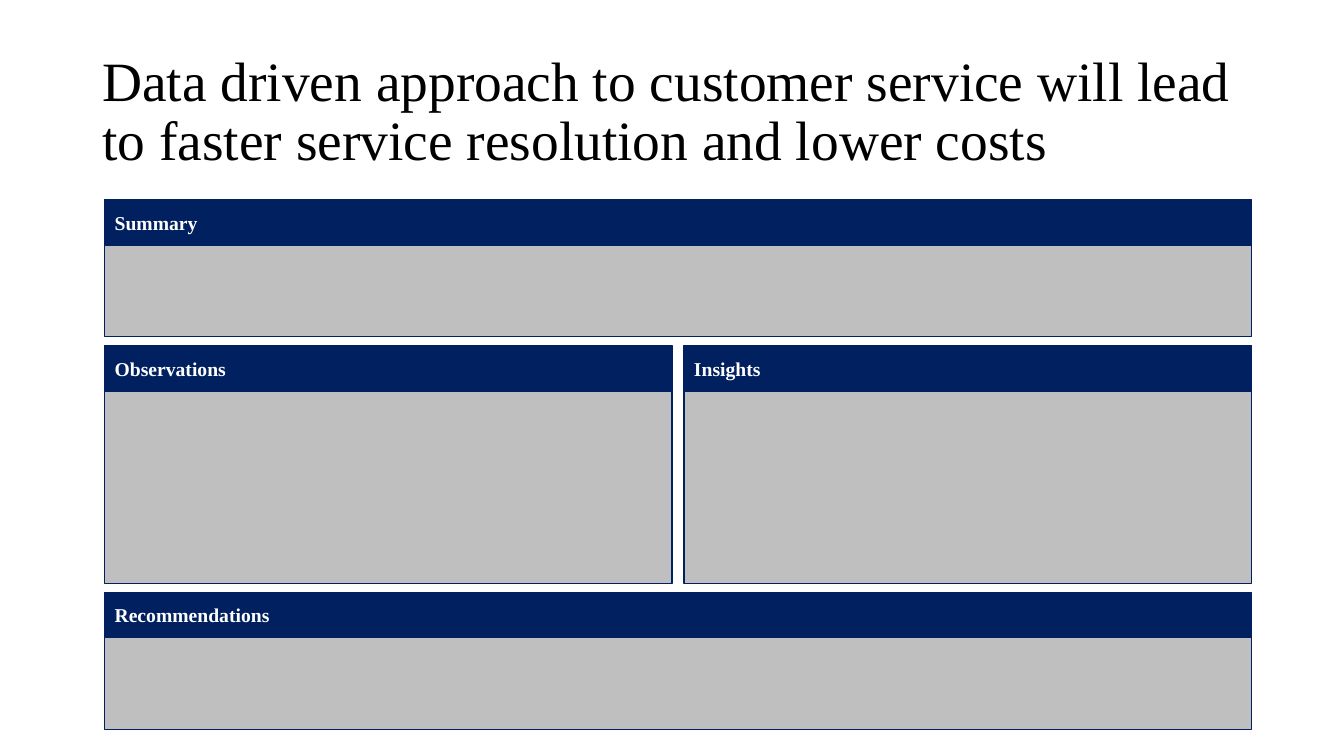
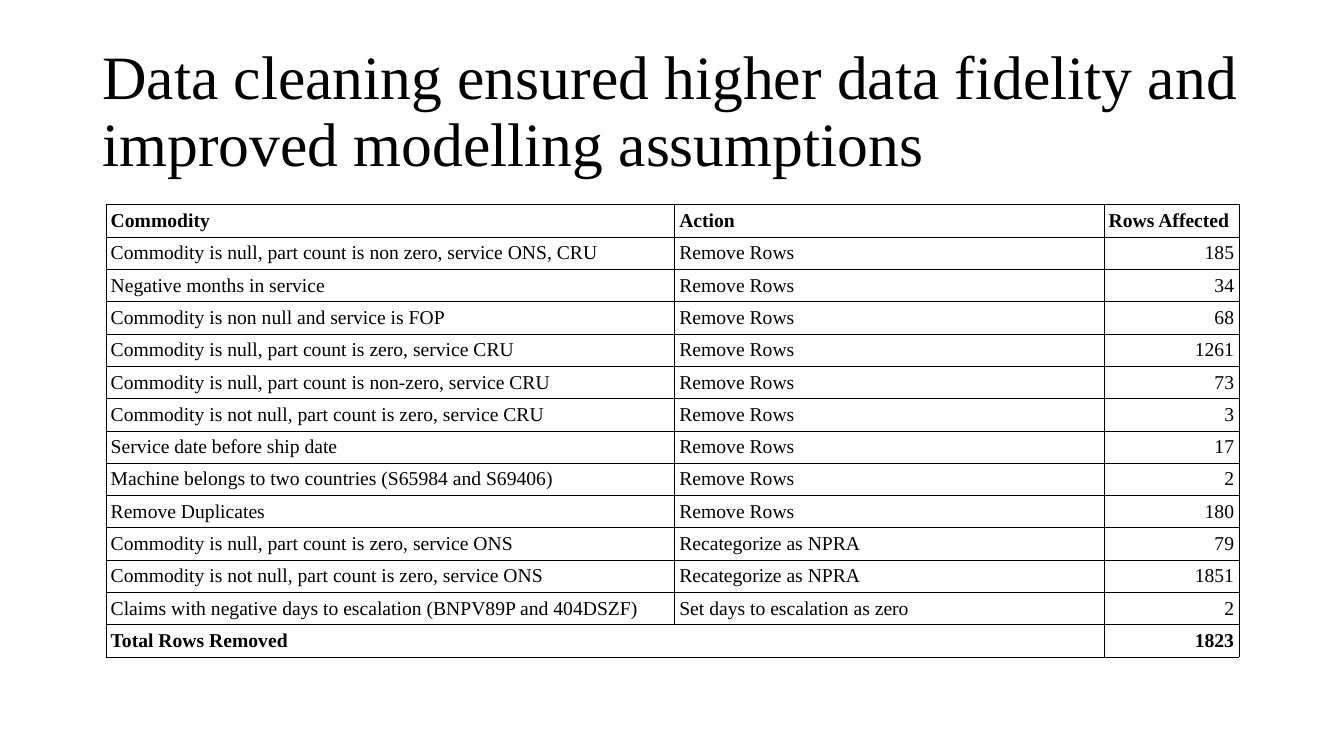
"""Build a summary panel slide and a data cleaning table slide."""
import pptx
import pptx.dml.color
import pptx.enum.shapes
import pptx.enum.text
import pptx.oxml
import pptx.oxml.ns
import pptx.util
import lxml.etree

Cm = pptx.util.Cm
Pt = pptx.util.Pt
Color = pptx.dml.color.RGBColor
Align = pptx.enum.text.PP_ALIGN
Middle = pptx.enum.text.MSO_ANCHOR.MIDDLE


class Theme:
    """Hold the shared colours, font and type sizes."""
    navy = Color(0x00, 0x20, 0x60)
    gray = Color(0x80, 0x80, 0x80)
    black = Color(0, 0, 0)
    white = Color(255, 255, 255)
    font = "Times New Roman"
    large = 44
    small = 39.6
    body = 14


def write(frame, text, size, color, bold=False, align=Align.LEFT):
    """Put one styled run in a text frame."""
    frame.word_wrap = True
    line = frame.paragraphs[0]
    line.alignment = align
    run = line.add_run()
    run.text = text
    run.font.name = Theme.font
    run.font.size = Pt(size)
    run.font.bold = bold
    run.font.color.rgb = color
    return line


def block(group, left, top, width, height, fill):
    """Add a filled, outlined rectangle to a group."""
    shape = group.shapes.add_shape(
        pptx.enum.shapes.MSO_SHAPE.RECTANGLE, Cm(left), Cm(top), Cm(width), Cm(height))
    shape.shadow.inherit = False
    shape.fill.solid()
    shape.fill.fore_color.rgb = fill
    shape.line.color.rgb = Theme.navy
    shape.line.width = Pt(1)
    return shape


deck = pptx.Presentation()
deck.slide_width = Cm(33.87)
deck.slide_height = Cm(19.05)

titles = [
    ("Data driven approach to customer service will lead to faster service resolution "
     "and lower costs", Theme.small),
    ("Data cleaning ensured higher data fidelity and improved modelling assumptions",
     Theme.large),
]
slides = []
for text, size in titles:
    slide = deck.slides.add_slide(deck.slide_layouts[6])
    box = slide.shapes.add_textbox(Cm(2.33), Cm(1.01), Cm(29.21), Cm(3.68))
    box.text_frame.vertical_anchor = Middle
    write(box.text_frame, text, size, Theme.black).line_spacing = 0.9
    slides.append(slide)
panels, cleaning = slides

left, top, full = 2.64, 5.03, 28.9
gap, drop, head = 0.3, 0.23, 1.14
bands = [
    (["Summary"], 2.31),
    (["Observations", "Insights"], 4.85),
    (["Recommendations"], 2.31),
]
for names, height in bands:
    width = (full - gap * (len(names) - 1)) / len(names)
    for index, name in enumerate(names):
        start = left + index * (width + gap)
        group = panels.shapes.add_group_shape()
        body = block(group, start, top + head, width, height, Theme.gray)
        shade = body.fill._xPr.find(".//" + pptx.oxml.ns.qn("a:srgbClr"))
        lxml.etree.SubElement(shade, pptx.oxml.ns.qn("a:alpha"), val="50000")
        bar = block(group, start, top, width, head, Theme.navy)
        bar.text_frame.vertical_anchor = Middle
        write(bar.text_frame, name, Theme.body, Theme.white, True)
    top += head + height + drop

rows = [
    ("Commodity", "Action", "Rows Affected"),
    ("Commodity is null, part count is non zero, service ONS, CRU", "Remove Rows", "185"),
    ("Negative months in service", "Remove Rows", "34"),
    ("Commodity is non null and service is FOP", "Remove Rows", "68"),
    ("Commodity is null, part count is zero, service CRU", "Remove Rows", "1261"),
    ("Commodity is null, part count is non-zero, service CRU", "Remove Rows", "73"),
    ("Commodity is not null, part count is zero, service CRU", "Remove Rows", "3"),
    ("Service date before ship date", "Remove Rows", "17"),
    ("Machine belongs to two countries (S65984 and S69406)", "Remove Rows", "2"),
    ("Remove Duplicates", "Remove Rows", "180"),
    ("Commodity is null, part count is zero, service ONS", "Recategorize as NPRA", "79"),
    ("Commodity is not null, part count is zero, service ONS", "Recategorize as NPRA", "1851"),
    ("Claims with negative days to escalation (BNPV89P and 404DSZF)",
     "Set days to escalation as zero", "2"),
    ("Total Rows Removed", "", "1823"),
]
widths = [14.33, 10.82, 3.4]
tall = 0.8
last = len(rows) - 1
grid = cleaning.shapes.add_table(
    len(rows), len(widths), Cm(2.67), Cm(5.16), Cm(sum(widths)), Cm(tall * len(rows))).table
grid.first_row = False
grid.horz_banding = False
for index, width in enumerate(widths):
    grid.columns[index].width = Cm(width)
grid.cell(last, 0).merge(grid.cell(last, 1))

for down, row in enumerate(rows):
    grid.rows[down].height = Cm(tall)
    for across, text in enumerate(row):
        cell = grid.cell(down, across)
        cell.fill.background()
        cell.vertical_anchor = Middle
        cell.margin_left = cell.margin_right = Cm(0.12)
        cell.margin_top = cell.margin_bottom = Cm(0.11)
        if text:
            align = Align.RIGHT if down and across == 2 else Align.LEFT
            write(cell.text_frame, text, Theme.body, Theme.black, down in (0, last), align)
        props = cell._tc.get_or_add_tcPr()
        for place, side in enumerate("LRTB"):
            props.insert(place, pptx.oxml.parse_xml(
                f'<a:ln{side} {pptx.oxml.ns.nsdecls("a")} w="{Pt(0.5)}"><a:solidFill>'
                f'<a:srgbClr val="{Theme.black}"/></a:solidFill></a:ln{side}>'))

deck.save("out.pptx")
